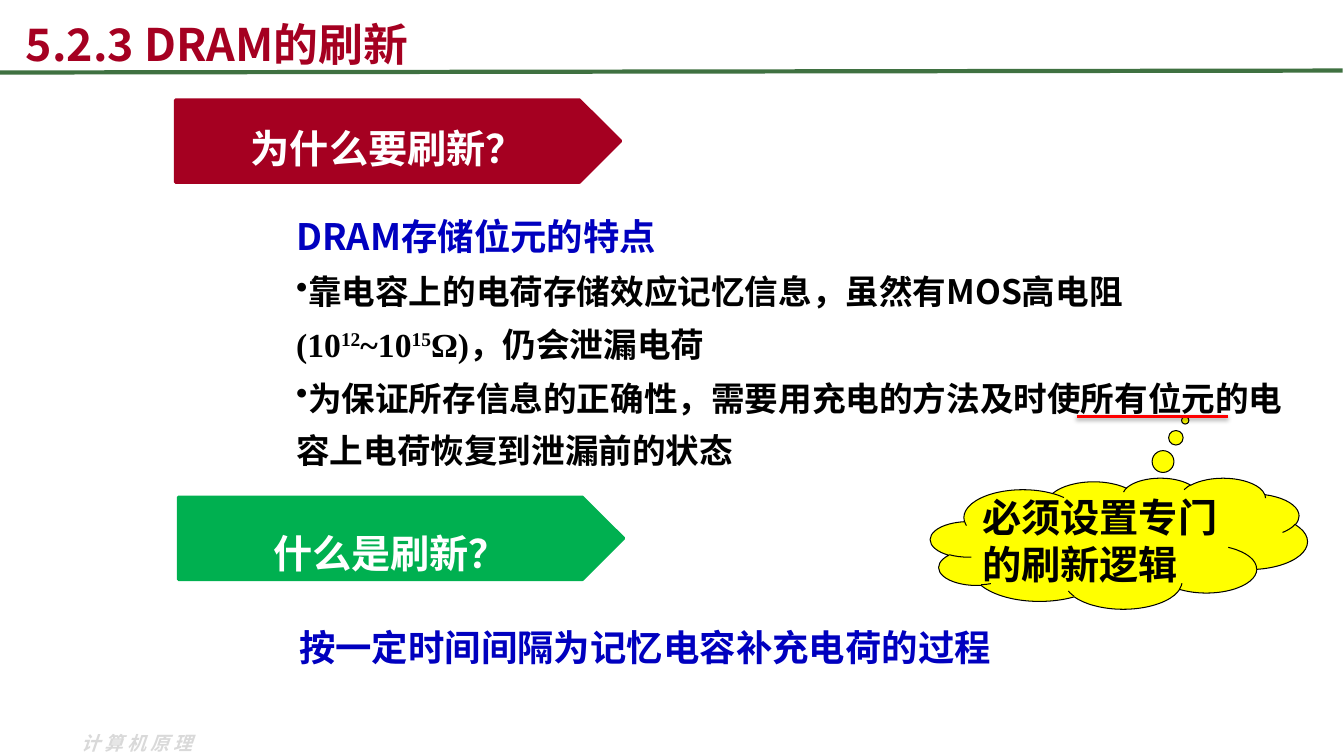
from dataclasses import dataclass

from lxml.etree import SubElement
from pptx import Presentation
from pptx.dml.color import RGBColor as RGB
from pptx.enum.shapes import MSO_CONNECTOR as Connector, MSO_SHAPE as Shape
from pptx.enum.text import MSO_ANCHOR as Anchor, PP_ALIGN as Align
from pptx.oxml.ns import qn
from pptx.util import Pt


@dataclass(frozen=True)
class Theme:
    crimson: str = "A50021"
    green: str = "00B050"
    rule_green: str = "3F7141"
    blue: str = "0000BF"
    yellow: str = "FFFF00"
    red: str = "FF0000"
    black: str = "000000"
    white: str = "FFFFFF"
    pale: str = "D9D9D9"
    sans: str = "Noto Sans CJK SC"
    banner_font: str = "DejaVu Sans"
    serif: str = "Times New Roman"
    title_size: float = 32
    banner_size: float = 28
    lead_size: float = 26
    body_size: float = 24
    footer_size: float = 13.5


class SlideBuilder:
    def __init__(self, slide, theme):
        self.shapes = slide.shapes
        self.theme = theme

    def run(self, paragraph, text, size, color, font=None, raised=False, **extra):
        """Add a bold run; extra holds further font attributes."""
        run = paragraph.add_run()
        run.text = text
        name = font or self.theme.sans
        for key, value in {"size": Pt(size), "bold": True, "name": name, **extra}.items():
            setattr(run.font, key, value)
        run.font.color.rgb = RGB.from_string(color)
        props = run.font._element
        SubElement(props, qn("a:ea")).set("typeface", name)
        if raised:
            props.set("baseline", "30000")
        return run

    def frame(self, shape, **formats):
        frame = shape.text_frame
        for key, value in {"word_wrap": True, **formats}.items():
            setattr(frame, key, value)
        return frame

    def text_box(self, left, top, width, height, **formats):
        box = self.shapes.add_textbox(Pt(left), Pt(top), Pt(width), Pt(height))
        return self.frame(box, **formats)

    def indent(self, paragraph, spacing, bullet=None):
        """Set a second-level paragraph 36 pt in, with an optional bullet."""
        paragraph.level = 1
        paragraph.line_spacing = spacing
        props = paragraph._p.get_or_add_pPr()
        props.set("marL", str(Pt(36)))
        props.set("indent", "0")
        if bullet:
            SubElement(props, qn("a:buChar")).set("char", bullet)

    def shape(self, kind, left, top, width, height, fill, line, weight):
        shape = self.shapes.add_shape(kind, Pt(left), Pt(top), Pt(width), Pt(height))
        shape.shadow.inherit = False
        shape.fill.solid()
        shape.fill.fore_color.rgb = RGB.from_string(fill)
        shape.line.color.rgb = RGB.from_string(line)
        shape.line.width = Pt(weight)
        return shape

    def banner(self, left, top, question, color, spacing):
        shape = self.shape(Shape.PENTAGON, left, top, 318.2, 59, color, color, 2)
        paragraph = self.frame(shape, vertical_anchor=Anchor.MIDDLE).paragraphs[0]
        paragraph.alignment = Align.CENTER
        paragraph.line_spacing = spacing
        self.run(paragraph, question, self.theme.banner_size, self.theme.white,
                 self.theme.banner_font)

    def cloud(self, left, top, width, height, remark, tail):
        shape = self.shape(Shape.CLOUD_CALLOUT, left, top, width, height,
                           self.theme.yellow, self.theme.black, 0.75)
        for index, offset in enumerate(tail):
            shape.adjustments[index] = offset
        frame = self.frame(shape, vertical_anchor=Anchor.MIDDLE,
                           margin_left=0, margin_right=0)
        frame.paragraphs[0].alignment = Align.LEFT
        self.run(frame.paragraphs[0], remark, self.theme.banner_size, self.theme.black)

    def line(self, start, end, color, weight, shadow=False):
        line = self.shapes.add_connector(Connector.STRAIGHT, *map(Pt, start + end))
        line.line.color.rgb = RGB.from_string(color)
        line.line.width = Pt(weight)
        effects = SubElement(line._element.spPr, qn("a:effectLst"))
        if shadow:
            cast = SubElement(effects, qn("a:outerShdw"), blurRad=str(Pt(3.1)),
                              dist=str(Pt(1.6)), dir="5400000", rotWithShape="0")
            tint = SubElement(cast, qn("a:srgbClr"), val=self.theme.black)
            SubElement(tint, qn("a:alpha"), val="38000")


def main():
    theme = Theme()
    deck = Presentation()
    deck.slide_width, deck.slide_height = Pt(960), Pt(540)
    slide = SlideBuilder(deck.slides.add_slide(deck.slide_layouts[6]), theme)

    course = slide.text_box(51.1, 519.1, 105.1, 24.5, word_wrap=False).paragraphs[0]
    course_name = slide.run(course, "计算机原理", theme.footer_size, theme.pale, italic=True)
    course_name.font._element.set("spc", "300")
    slide.line((0, 51.8), (959, 50.4), theme.rule_green, 3)

    title = slide.text_box(11.5, 0, 864, 54, vertical_anchor=Anchor.BOTTOM)
    slide.run(title.paragraphs[0], "5.2.3 DRAM的刷新", theme.title_size, theme.crimson)

    reasons = slide.text_box(168.5, 139.7, 764.6, 198)
    slide.indent(reasons.paragraphs[0], 1.3)
    slide.run(reasons.paragraphs[0], "DRAM存储位元的特点", theme.lead_size, theme.blue)
    points = [
        [("靠电容上的电荷存储效应记忆信息，虽然有MOS高电阻", theme.sans, False),
         ("(10", theme.serif, False), ("12", theme.serif, True),
         ("~10", theme.serif, False), ("15", theme.serif, True),
         ("Ω)", theme.serif, False), ("，仍会泄漏电荷", theme.sans, False)],
        [("为保证所存信息的正确性，需要用充电的方法及时使所有位元的电容上电荷恢复到泄漏前的状态",
          theme.sans, False)],
    ]
    for point in points:
        paragraph = reasons.add_paragraph()
        slide.indent(paragraph, 1.3, "•")
        paragraph.space_before = Pt(1.2)
        for text, font, raised in point:
            slide.run(paragraph, text, theme.body_size, theme.black, font, raised)

    slide.banner(125.3, 71.3, "为什么要刷新？", theme.crimson, 1.3)

    definition = slide.text_box(170.6, 424.1, 629.3, 51.1).paragraphs[0]
    slide.indent(definition, 1.6)
    slide.run(definition, "按一定时间间隔为记忆电容补充电荷的过程", theme.lead_size, theme.blue)

    slide.banner(127.4, 355, "什么是刷新？", theme.green, 1.6)
    slide.cloud(664.6, 341.3, 269.3, 93.6, "必须设置专门的刷新逻辑", (0.176, -0.938))
    slide.line((769, 297.4), (877, 297.4), theme.red, 2, shadow=True)

    deck.save("out.pptx")


if __name__ == "__main__":
    main()
